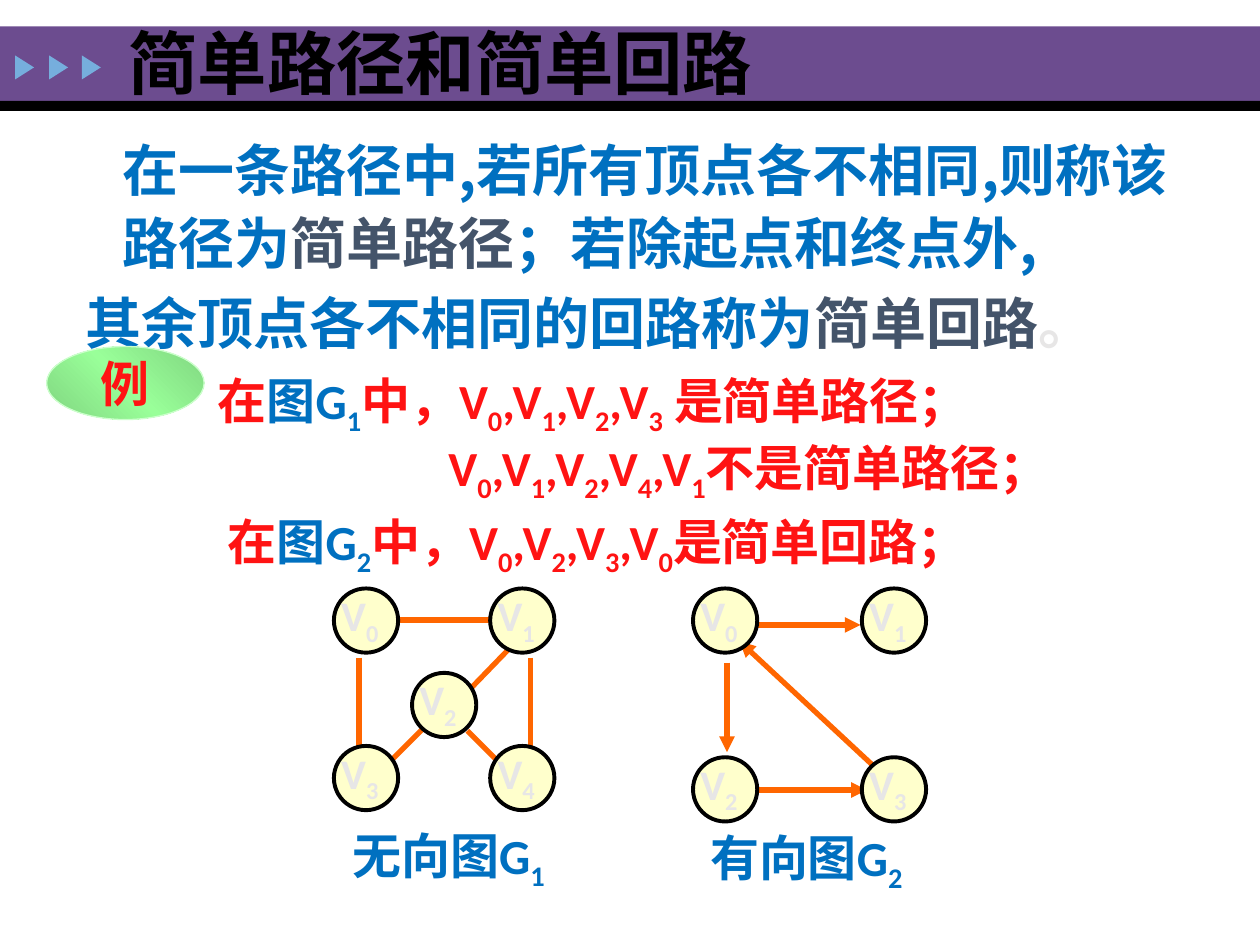
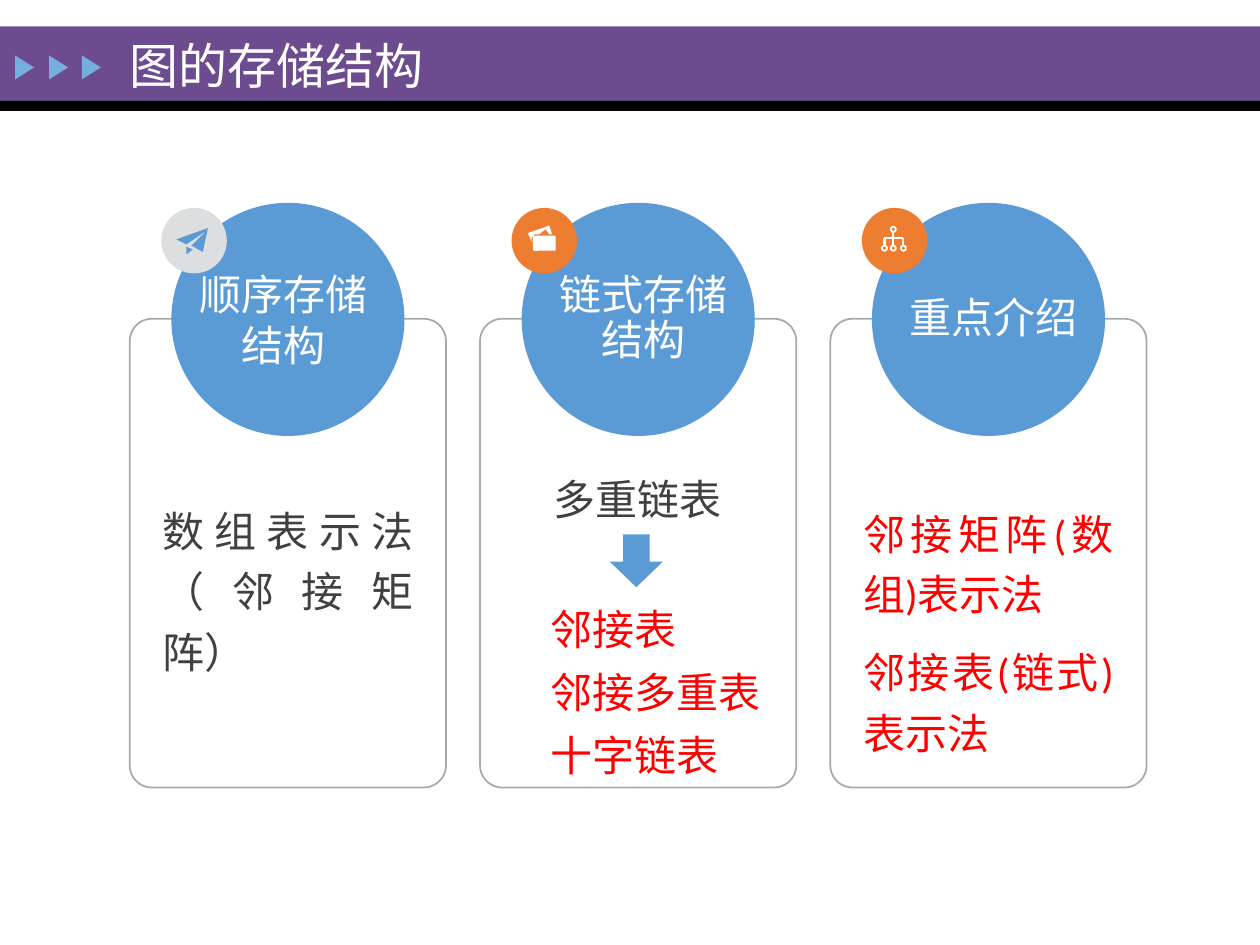
"""Build two slides on graph paths and graph storage structures."""
from copy import deepcopy

from pptx import Presentation
from pptx.dml.color import RGBColor
from pptx.enum.shapes import MSO_CONNECTOR, MSO_SHAPE
from pptx.enum.text import MSO_ANCHOR, MSO_AUTO_SIZE, PP_ALIGN
from pptx.oxml.ns import qn
from pptx.util import Inches, Pt

STRAIGHT = MSO_CONNECTOR.STRAIGHT
RECTANGLE, ELLIPSE = MSO_SHAPE.RECTANGLE, MSO_SHAPE.OVAL
ROUNDED, TRIANGLE = MSO_SHAPE.ROUNDED_RECTANGLE, MSO_SHAPE.ISOSCELES_TRIANGLE
DOWN_ARROW = MSO_SHAPE.DOWN_ARROW
TOP, MIDDLE = MSO_ANCHOR.TOP, MSO_ANCHOR.MIDDLE
LEFT, CENTER, JUSTIFY = PP_ALIGN.LEFT, PP_ALIGN.CENTER, PP_ALIGN.JUSTIFY
NO_FIT = MSO_AUTO_SIZE.NONE

COLORS = {
    "band": "6C4C8F", "black": "000000", "marker": "76AEDD", "white": "FFFFFF",
    "blue": "0070C0", "slate": "44546A", "pale": "E7E6E6", "scarlet": "FF1313",
    "edge": "FF6600", "node": "FFFFCC", "mint": "99FF99", "green": "80D580",
    "rim": "CCFFCC", "card": "A6AAA9", "disc": "5B9BD5", "silver": "DCDEE0",
    "orange": "ED7D31", "dark": "404040", "red": "FF0000",
}
LATIN, CHINESE = "Calibri", "Noto Sans CJK SC"


class SlideBuilder:
    """Hold the shared style and draw elements on the current slide."""

    def __init__(self, deck):
        """Keep the deck that receives the slides."""
        self.deck = deck
        self.page = None

    def color(self, name):
        """Return a named colour."""
        return RGBColor.from_string(COLORS[name])

    def start(self, title, place, size, color, font=LATIN, bold=False, spacing=1.0):
        """Add a slide with the shared band, markers and a title."""
        self.page = self.deck.slides.add_slide(self.deck.slide_layouts[5])
        self.shape(RECTANGLE, (0, 0.21, 10, 0.59), "band")
        self.shape(RECTANGLE, (0, 0.8, 10, 0.08), "black")
        for left in (0.1, 0.37, 0.63):
            self.shape(TRIANGLE, (left, 0.46, 0.19, 0.15), "marker").rotation = 90
        box = self.page.shapes.title
        self.page.shapes.element.append(box.element)
        for name, value in zip(("left", "top", "width", "height"), place):
            setattr(box, name, Inches(value))
        self.fill_text(box.text_frame, [[(color, title)]], size, font=font, bold=bold,
                       anchor=MIDDLE, line_spacing=spacing)

    def shape(self, kind, place, fill=None, line=None, width=1.0, adjustments=()):
        """Add a preset shape with an optional fill and outline."""
        shape = self.page.shapes.add_shape(kind, *map(Inches, place))
        for index, value in enumerate(adjustments):
            shape.adjustments[index] = value
        self.paint(shape, fill, line, width)
        return shape

    def paint(self, shape, fill, line=None, width=1.0):
        """Set the fill and outline of a shape."""
        shape.shadow.inherit = False
        if fill:
            shape.fill.solid()
            shape.fill.fore_color.rgb = self.color(fill)
        else:
            shape.fill.background()
        if line:
            shape.line.color.rgb = self.color(line)
            shape.line.width = Pt(width)
        else:
            shape.line.fill.background()

    def gradient(self, shape, stops, angle):
        """Fill a shape with a three-stop gradient."""
        shape.fill.gradient()
        shape.fill.gradient_angle = angle
        stop_list = shape.element.spPr.find(".//" + qn("a:gsLst"))
        stop_list.insert(1, deepcopy(stop_list[0]))
        for element, stop, (position, color) in zip(
                stop_list, shape.fill.gradient_stops, stops):
            stop.color.rgb = self.color(color)
            element.set("pos", str(position * 1000))

    def outline(self, contours, fill):
        """Add one freeform made of closed contours."""
        scaled = [[(Inches(x), Inches(y)) for x, y in points] for points in contours]
        builder = self.page.shapes.build_freeform(*scaled[0][0], scale=1.0)
        builder.add_line_segments(scaled[0][1:], close=True)
        for points in scaled[1:]:
            builder.move_to(*points[0])
            builder.add_line_segments(points[1:], close=True)
        self.paint(builder.convert_to_shape(), fill)

    def line(self, start, end, color, width, arrow=False):
        """Add a straight line, with an arrowhead at its end if asked."""
        connector = self.page.shapes.add_connector(
            STRAIGHT, *map(Inches, start + end))
        connector.line.color.rgb = self.color(color)
        connector.line.width = Pt(width)
        properties = connector.element.spPr
        if arrow:
            stroke = properties.find(qn("a:ln"))
            stroke.append(stroke.makeelement(qn("a:tailEnd"), {"type": "triangle"}))
        properties.append(properties.makeelement(qn("a:effectLst"), {}))

    def text(self, place, paras, size, **style):
        """Add a text box."""
        box = self.page.shapes.add_textbox(*map(Inches, place))
        self.fill_text(box.text_frame, paras, size, **style)

    def fill_text(self, frame, paras, size, font=LATIN, bold=False, anchor=TOP,
                  wrap=True, insets=(0.1, 0.05), indents=(), before=0, align=LEFT,
                  line_spacing=1.0):
        """Fill a frame with paragraphs of (colour, text) spans; _ marks a subscript."""
        across, down = map(Inches, insets)
        frame_format = {
            "word_wrap": wrap, "auto_size": NO_FIT, "vertical_anchor": anchor,
            "margin_left": across, "margin_right": across,
            "margin_top": down, "margin_bottom": down,
        }
        for name, value in frame_format.items():
            setattr(frame, name, value)
        for index, spans in enumerate(paras):
            para = frame.add_paragraph() if index else frame.paragraphs[0]
            para_format = {"alignment": align, "line_spacing": line_spacing,
                           "space_before": Pt(before if index else 0)}
            for name, value in para_format.items():
                setattr(para, name, value)
            if indents:
                para._p.get_or_add_pPr().set("marL", str(Inches(indents[index])))
            for color, words in spans:
                font_format = {"name": font, "size": Pt(size), "bold": bold}
                self.add_spans(para, words, color, font_format)

    def add_spans(self, para, words, color, font_format):
        """Add the runs of one coloured stretch of text."""
        first, *rest = words.split("_")
        pieces = [(first, False)]
        for part in rest:
            pieces += [(part[0], True), (part[1:], False)]
        for piece, lowered in pieces:
            for row, content in enumerate(piece.split("\n")):
                if row:
                    para.add_line_break()
                if not content:
                    continue
                span = para.add_run()
                span.text = content
                for name, value in font_format.items():
                    setattr(span.font, name, value)
                span.font.color.rgb = self.color(color)
                if lowered:
                    span.font._element.set("baseline", "-25000")

    def graph(self, caption, caption_place, edges, nodes, arrow=False):
        """Draw a graph: caption, edges, then labelled nodes."""
        self.text(caption_place, [[("blue", caption)]], 28, bold=True, align=CENTER)
        for start, end in edges:
            self.line(start, end, "edge", 3, arrow)
        for number, (left, top) in enumerate(nodes):
            self.shape(ELLIPSE, (left, top, 0.51, 0.51), "node", "black", 2.25)
            self.text((left - 0.04, top - 0.04, 0.71, 0.5),
                      [[("pale", f"V_{number}")]], 24, bold=True)


def build_paths(builder):
    """Build the slide on simple paths and simple circuits."""
    builder.start("简单路径和简单回路", (0.92, 0.28, 7, 0.5), 39.6, "black",
                  CHINESE, True, 0.9)
    builder.text((0.37, 0.97, 9.08, 1.93), [
        [("blue", "在一条路径中,若所有顶点各不相同,则称该路径为"),
         ("slate", "简单路径"), ("blue", "；若除起点和终点外,")],
        [("blue", "其余顶点各不相同的回路称为"), ("slate", "简单回路"), ("pale", "。")],
    ], 32, font=CHINESE, bold=True, indents=(0.5, 0.21), before=3.2, line_spacing=1.1)

    badge = builder.shape(ELLIPSE, (0.37, 2.75, 1.25, 0.58), "mint", "rim", 0.75)
    builder.gradient(badge, [(0, "green"), (50, "mint"), (100, "green")], 45)
    builder.fill_text(badge.text_frame, [[("scarlet", "例")]], 28, bold=True,
                      anchor=MIDDLE, wrap=False, align=CENTER)

    builder.graph(
        "有向图G_2", (5.37, 6.52, 2.06, 0.57),
        [((5.77, 5.26), (5.77, 5.97)), ((6.01, 6.27), (6.88, 6.27)),
         ((6.01, 4.96), (6.83, 4.96)), ((7.03, 6.17), (5.87, 5.09))],
        [(left, top) for top in (4.67, 6.01) for left in (5.5, 6.84)], arrow=True)
    builder.graph(
        "无向图G_1", (2.53, 6.5, 2.06, 0.57),
        [((2.85, 5.22), (2.85, 5.94)), ((3.15, 4.92), (3.97, 4.92)),
         ((4.21, 5.22), (4.21, 5.94)), ((3.38, 5.76), (3.08, 6.06)),
         ((4.03, 5.16), (3.74, 5.46)), ((3.71, 5.8), (3.97, 6.06))],
        [(2.65, 4.67), (3.89, 4.67), (3.27, 5.34), (2.65, 5.92), (3.89, 5.92)])

    example = {"size": 28, "bold": True, "line_spacing": 1.1}
    builder.text((1.63, 2.84, 6.99, 0.61), [
        [("scarlet", "在"), ("blue", "图G_1"),
         ("scarlet", "中，V_0,V_1,V_2,V_3 是简单路径；")]], **example)
    builder.text((1.62, 3.37, 7.67, 1.13), [
        [("scarlet", "V_0,V_1,V_2,V_4,V_1不是简单路径；")],
        [("scarlet", "在"), ("blue", "图G_2"),
         ("scarlet", "中，V_0,V_2,V_3,V_0是简单回路；")],
    ], indents=(1.84, 0.09), **example)


def build_storage(builder):
    """Build the slide on storage structures of graphs."""
    builder.start("图的存储结构", (0.93, 0.14, 6.73, 0.75), 28, "white")
    cards = [1.03 + 2.78 * column for column in range(3)]
    for left in cards:
        builder.shape(ROUNDED, (left, 2.53, 2.51, 3.72), None, "card", 1, (0.07,))
    for left, badge in zip(cards, ("silver", "orange", "orange")):
        builder.shape(ELLIPSE, (left + 0.33, 1.61, 1.85, 1.85), "disc")
        builder.shape(ELLIPSE, (left + 0.25, 1.65, 0.52, 0.52), badge)

    builder.outline([
        [(1.65, 1.81), (1.4, 1.9), (1.48, 1.94), (1.64, 1.83), (1.52, 1.95), (1.61, 2)],
        [(1.48, 1.96), (1.53, 1.98), (1.48, 2.02)]], "disc")
    builder.outline([
        [(4.38, 1.86), (4.36, 1.79), (4.19, 1.85), (4.22, 1.92), (4.22, 1.89),
         (4.24, 1.86), (4.28, 1.86), (4.33, 1.82), (4.36, 1.86)]], "white")
    builder.shape(ROUNDED, (4.23, 1.87, 0.18, 0.12), "white", adjustments=(0.08,))
    leaves = (7.02, 7.09, 7.17)
    for x, y in [(7.09, 1.82)] + [(leaf, 1.97) for leaf in leaves]:
        builder.shape(ELLIPSE, (x - 0.02, y - 0.02, 0.04, 0.04), None, "white", 1)
    builder.line((7.09, 1.84), (7.09, 1.95), "white", 1.25)
    builder.line((leaves[0], 1.89), (leaves[-1], 1.89), "white", 1.25)
    for leaf in (leaves[0], leaves[-1]):
        builder.line((leaf, 1.89), (leaf, 1.95), "white", 1.25)

    padded = {"size": 24, "anchor": MIDDLE, "insets": (0.13, 0.07)}
    tight = {"size": 24, "anchor": MIDDLE, "insets": (0, 0), "before": 10}
    builder.text((1.32, 2.22, 1.86, 0.63), [[("white", "顺序存储结构")]],
                 align=CENTER, **padded)
    builder.text((1.16, 4.03, 2.25, 1.24), [[("dark", "数组表示法（邻接矩阵）")]],
                 align=JUSTIFY, line_spacing=1.2, **padded)
    for left, heading in ((4.24, "链式存储\n结构"), (7.02, "重点介绍")):
        builder.text((left, 2.22, 1.73, 0.63), [[("white", heading)]],
                     align=CENTER, line_spacing=0.9, **tight)
    builder.text((4.07, 3.76, 1.98, 0.31), [[("dark", "多重链表")]],
                 align=CENTER, line_spacing=1.2, **tight)
    builder.text((6.85, 3.76, 1.99, 2.45),
                 [[("red", "邻接矩阵(数组)表示法")], [("red", "邻接表(链式)表示法")]],
                 align=JUSTIFY, line_spacing=1.2, **tight)
    builder.text((4.27, 4.64, 1.96, 1.62),
                 [[("red", words)] for words in ("邻接表", "邻接多重表", "十字链表")],
                 24, line_spacing=1.25)
    builder.shape(DOWN_ARROW, (4.84, 4.24, 0.42, 0.42), "disc", adjustments=(0.5, 0.48))


def main():
    """Build and save the deck."""
    deck = Presentation()
    deck.slide_width, deck.slide_height = Inches(10), Inches(7.5)
    builder = SlideBuilder(deck)
    build_paths(builder)
    build_storage(builder)
    deck.save("out.pptx")


if __name__ == "__main__":
    main()
